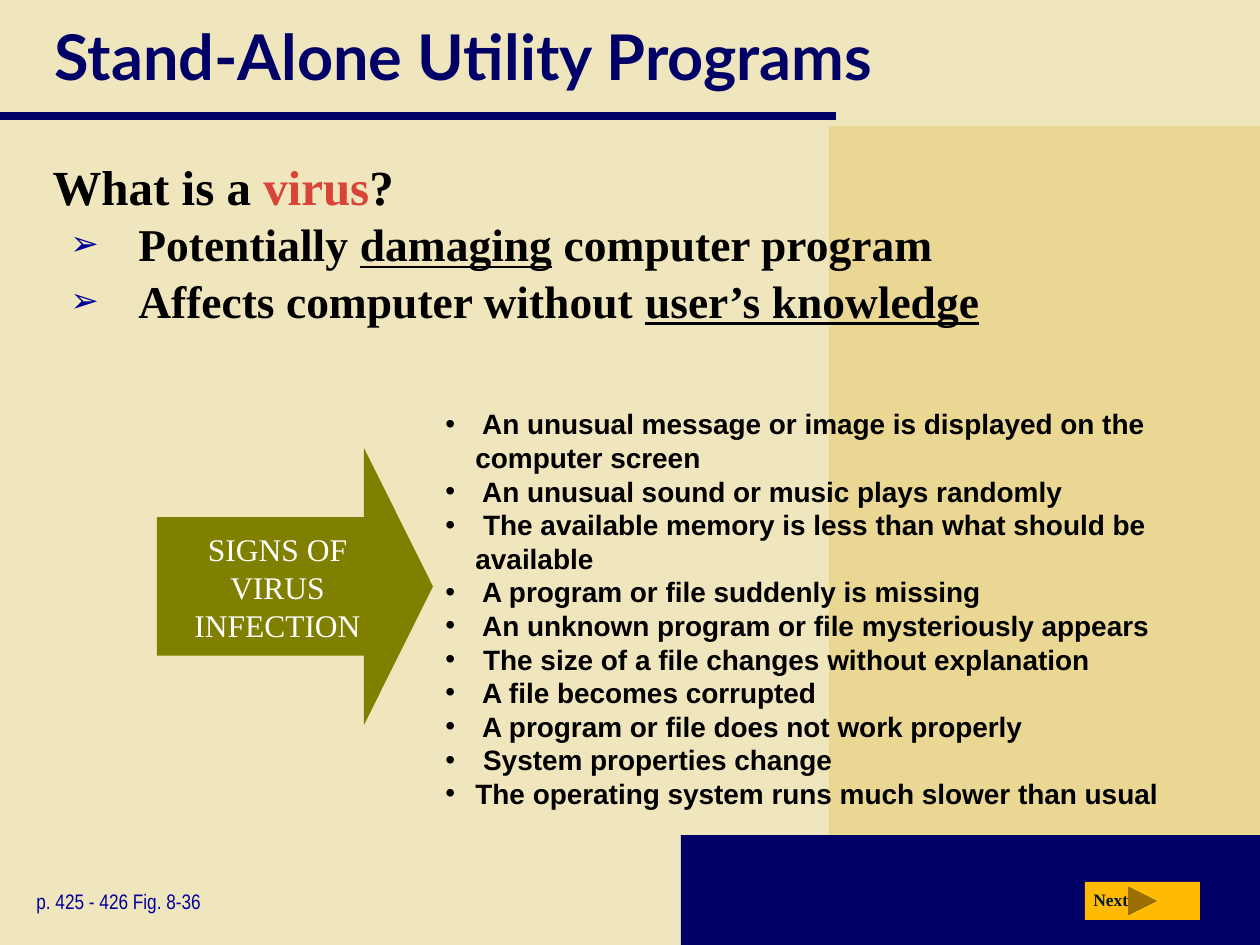
from lxml.etree import SubElement
from pptx import Presentation
from pptx.dml.color import RGBColor
from pptx.enum.shapes import MSO_CONNECTOR, MSO_SHAPE
from pptx.enum.text import MSO_ANCHOR, MSO_AUTO_SIZE, PP_ALIGN
from pptx.oxml.ns import qn
from pptx.util import Emu, Pt

COLORS = {
    "cream": "F0E6BE", "sand": "E9D793", "navy": "000066", "blue": "000099",
    "red": "D94439", "black": "000000", "ink": "001932", "gold": "FFBA02",
    "olive": "808000", "white": "FFFFFF",
}
SERIF = "Times New Roman"

TITLE = "Stand-Alone Utility Programs"
QUESTION = [[("What is a ", {}), ("virus", {"color": "red"}), ("?", {})]]
ANSWERS = [
    [("Potentially ", {}), ("damaging", {"underline": True}), (" computer program", {})],
    [("Affects computer without ", {}), ("user’s knowledge", {"underline": True})],
]
SIGNS_LABEL = "SIGNS OF VIRUS INFECTION"
SIGNS = [
    " An unusual message or image is displayed on the computer screen",
    " An unusual sound or music plays randomly",
    " The available memory is less than what should be available",
    " A program or file suddenly is missing",
    " An unknown program or file mysteriously appears",
    " The size of a file changes without explanation",
    " A file becomes corrupted",
    " A program or file does not work properly",
    " System properties change",
    "The operating system runs much slower than usual",
]
PAGE_REF = "p. 425 - 426 Fig. 8-36"
NEXT_LABEL = "Next"


def px(length):
    return Emu(round(length * 914400 / 126))


def rgb(name):
    return RGBColor.from_string(COLORS[name])


def place(part, box):
    part.left, part.top, part.width, part.height = map(px, box)
    return part


def add_filled(shapes, preset, box, color):
    part = shapes.add_shape(preset, *map(px, box))
    part.shadow.inherit = False
    part.fill.solid()
    part.fill.fore_color.rgb = rgb(color)
    part.line.fill.background()
    return part


def add_textbox(shapes, box):
    return shapes.add_textbox(*map(px, box))


def set_bullet(paragraph, margin, indent, char=None, color=None, percent=100):
    props = paragraph._p.get_or_add_pPr()
    props.set("marL", str(px(margin)))
    props.set("indent", str(px(indent)))
    if char is None:
        SubElement(props, qn("a:buNone"))
        return
    if color:
        bullet_color = SubElement(props, qn("a:buClr"))
        SubElement(bullet_color, qn("a:srgbClr")).set("val", COLORS[color])
    SubElement(props, qn("a:buSzPct")).set("val", str(percent * 1000))
    SubElement(props, qn("a:buFont")).set("typeface", "Arial")
    SubElement(props, qn("a:buChar")).set("char", char)


def write(part, paragraphs, font, size, color, bold=False, align=PP_ALIGN.LEFT,
          anchor=MSO_ANCHOR.TOP, bullet=None, gap=0):
    frame = part.text_frame
    frame.word_wrap = True
    frame.auto_size = MSO_AUTO_SIZE.NONE
    frame.vertical_anchor = anchor
    for index, content in enumerate(paragraphs):
        paragraph = frame.add_paragraph() if index else frame.paragraphs[0]
        paragraph.alignment = align
        paragraph.space_before = Pt(gap if index else 0)
        if bullet:
            set_bullet(paragraph, **bullet)
        runs = [(content, {})] if isinstance(content, str) else content
        for words, style in runs:
            run = paragraph.add_run()
            run.text = words
            run.font.name = font
            run.font.size = Pt(size)
            run.font.bold = bold
            run.font.underline = style.get("underline", False)
            run.font.color.rgb = rgb(style.get("color", color))


def add_backdrop(slide):
    shapes = slide.shapes
    panel = add_filled(shapes, MSO_SHAPE.RECTANGLE, (829, 126, 431, 819), "sand")
    footer = add_filled(shapes, MSO_SHAPE.RECTANGLE, (681, 835, 579, 110), "navy")
    rule = shapes.add_connector(MSO_CONNECTOR.STRAIGHT, px(0), px(116), px(836), px(116))
    rule.line.color.rgb = rgb("navy")
    rule.line.width = Pt(5)
    SubElement(rule._element.spPr, qn("a:effectLst"))
    for part in (panel, footer, rule):
        shapes.title.element.addprevious(part.element)


def main():
    deck = Presentation()
    deck.slide_width, deck.slide_height = px(1260), px(945)
    slide = deck.slides.add_slide(deck.slide_layouts[1])
    slide.background.fill.solid()
    slide.background.fill.fore_color.rgb = rgb("cream")
    add_backdrop(slide)
    shapes = slide.shapes

    write(place(shapes.title, (42, 0, 1183, 111)), [TITLE], "Lato", 36, "navy",
          bold=True, anchor=MSO_ANCHOR.MIDDLE)
    write(place(slide.placeholders[1], (40, 150, 1183, 87)), QUESTION, SERIF, 28, "black",
          bold=True, bullet={"margin": 73, "indent": -73})

    next_button = shapes.add_group_shape().shapes
    add_filled(next_button, MSO_SHAPE.ACTION_BUTTON_FORWARD_OR_NEXT, (1085, 882, 115, 38), "gold")
    write(add_textbox(next_button, (1081, 883, 64, 34)), [NEXT_LABEL], SERIF, 10, "ink", bold=True)

    write(add_textbox(shapes, (24, 882, 213, 38)), [PAGE_REF], "Arial Narrow", 12, "blue")
    write(add_textbox(shapes, (42, 210, 1183, 205)), ANSWERS, SERIF, 26, "black", bold=True, gap=1.3,
          bullet={"margin": 84, "indent": -68, "char": "➢", "color": "blue", "percent": 75})

    signs_arrow = shapes.add_group_shape().shapes
    arrow = add_filled(signs_arrow, MSO_SHAPE.RIGHT_ARROW, (157, 448, 276, 277), "olive")
    arrow.adjustments[0], arrow.adjustments[1] = 0.5, 0.25
    write(add_textbox(signs_arrow, (162, 524, 231, 126)), [SIGNS_LABEL], SERIF, 18, "white",
          align=PP_ALIGN.CENTER)

    signs = add_textbox(shapes, (433, 338, 810, 477))
    signs.text_frame.margin_top, signs.text_frame.margin_bottom = px(69), 0
    write(signs, SIGNS, "Arial", 16, "black", bold=True,
          bullet={"margin": 30, "indent": -30, "char": "•"})

    deck.save("out.pptx")


if __name__ == "__main__":
    main()
